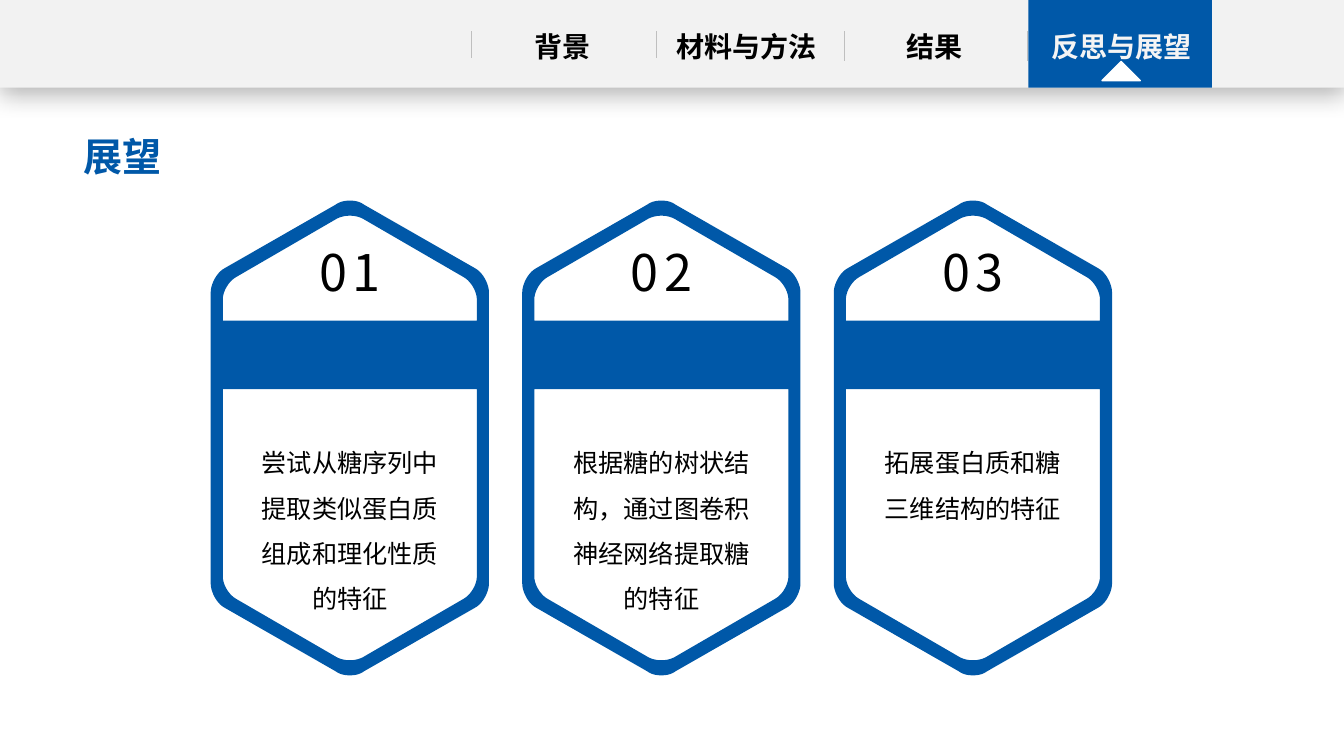
from lxml import etree
from pptx import Presentation
from pptx.dml.color import RGBColor
from pptx.enum import shapes, text
from pptx.oxml import ns
from pptx.util import Inches, Pt

COLORS = {"blue": "0058A8", "bar": "F2F2F2", "rule": "BFBFBF",
          "black": "000000", "white": "FFFFFF", "active": "F4F4F4"}
SANS, DIGITS, SERIF = "Noto Sans CJK SC", "Noto Sans CJK JP", "Times New Roman"

# label, text left, bottom of the separator before it
TABS = [("背景", 4.84, 0.58), ("材料与方法", 6.67, 0.58),
        ("结果", 8.53, 0.61), ("反思与展望", 10.39, 0.61)]
CARDS = [("01", "尝试从糖序列中提取类似蛋白质组成和理化性质的特征"),
         ("02", "根据糖的树状结构，通过图卷积神经网络提取糖的特征"),
         ("03", "拓展蛋白质和糖三维结构的特征")]
CARD_WIDTH, CARD_HEIGHT, CARD_PITCH = 2.76, 4.71, 3.09

# Right half of each roof: peak curve, then shoulder curve, from the card's centre line
OUTER_ROOF = [[(0, 0), (0.05, 0), (0.1, 0.01), (0.14, 0.04)],
              [(1.24, 0.67), (1.32, 0.71), (1.38, 0.83), (1.38, 0.91)]]
INNER_ROOF = [[(0, 0.15), (0.05, 0.15), (0.09, 0.16), (0.13, 0.18)],
              [(1.13, 0.76), (1.2, 0.8), (1.26, 0.9), (1.26, 0.98)]]
INNER_HALF, BAND_TOP, BAND_BOTTOM = 1.26, 1.19, 1.87


def color(name):
    return RGBColor.from_string(COLORS[name])


def add_text(page, box, words, size, font, tint="black", latin=None, bold=False,
             align=text.PP_ALIGN.CENTER, insets=(0, 0), wrap=True,
             line_spacing=None, tracking=None):
    label = page.shapes.add_textbox(*map(Inches, box))
    frame = label.text_frame
    frame.word_wrap = wrap
    frame.auto_size = text.MSO_AUTO_SIZE.SHAPE_TO_FIT_TEXT
    frame.margin_left = frame.margin_right = Inches(insets[0])
    frame.margin_top = frame.margin_bottom = Inches(insets[1])
    para = frame.paragraphs[0]
    para.alignment = align
    if line_spacing:
        para.line_spacing = line_spacing
    span = para.add_run()
    span.text = words
    span.font.size = Pt(size)
    span.font.bold = bold
    span.font.color.rgb = color(tint)
    span.font.name = latin or font
    properties = span._r.get_or_add_rPr()
    etree.SubElement(properties, ns.qn("a:ea"), typeface=font)
    if tracking:
        properties.set("spc", str(tracking * 100))


def paint(shape, tint):
    shape.shadow.inherit = False
    shape.fill.solid()
    shape.fill.fore_color.rgb = color(tint)
    shape.line.fill.background()
    return shape


def add_block(page, kind, box, tint):
    return paint(page.shapes.add_shape(kind, *map(Inches, box)), tint)


def add_soft_shadow(shape):
    effects = shape._element.spPr.find(ns.qn("a:effectLst"))
    shadow = etree.SubElement(effects, ns.qn("a:outerShdw"), blurRad=str(Pt(18)),
                              dist=str(Pt(4)), dir="5400000", algn="t", rotWithShape="0")
    tint = etree.SubElement(shadow, ns.qn("a:srgbClr"), val=COLORS["black"])
    etree.SubElement(tint, ns.qn("a:alpha"), val="29000")


def add_separator(page, x, top, bottom):
    rule = page.shapes.add_connector(shapes.MSO_CONNECTOR.STRAIGHT,
                                     *map(Inches, (x, top, x, bottom)))
    rule.line.color.rgb = color("rule")
    rule.line.width = Pt(0.5)
    etree.SubElement(rule._element.spPr, ns.qn("a:effectLst"))


def add_navigation(page, box):
    left, top, width, height = box
    rectangle = shapes.MSO_SHAPE.RECTANGLE
    add_soft_shadow(add_block(page, rectangle, box, "bar"))
    add_block(page, rectangle, (left + 10.2, top, 1.82, height), "blue")
    pointer = add_block(page, shapes.MSO_SHAPE.ISOSCELES_TRIANGLE,
                        (left + 10.93, top + 0.61, 0.38, 0.19), "white")
    pointer.line.color.rgb = color("white")
    pointer.line.width = Pt(1)
    for index, (words, offset, rule_bottom) in enumerate(TABS):
        is_active = index == len(TABS) - 1
        add_separator(page, left + offset - (0.2 if is_active else 0.16),
                      top + 0.31, top + rule_bottom)
        add_text(page, (left + offset, top + 0.24, 1.47, 0.44), words, 20, SANS,
                 "active" if is_active else "black", bold=True, insets=(0, 0.05))


def curve_points(controls, steps=10):
    """Points along a cubic Bezier curve."""
    for step in range(steps + 1):
        t = step / steps
        weights = ((1 - t) ** 3, 3 * t * (1 - t) ** 2, 3 * t ** 2 * (1 - t), t ** 3)
        yield tuple(sum(w * point[axis] for w, point in zip(weights, controls))
                    for axis in (0, 1))


def roof_points(curves):
    """The whole roof from left to right, mirrored about x = 0."""
    right = [point for controls in curves for point in curve_points(controls)]
    return [(-x, y) for x, y in reversed(right)] + right[1:]


def floor_points(curves):
    """The roof turned upside down, from right to left."""
    return [(x, CARD_HEIGHT - y) for x, y in reversed(roof_points(curves))]


def add_card_frame(page, left, top):
    upper = roof_points(INNER_ROOF) + [(INNER_HALF, BAND_TOP), (-INNER_HALF, BAND_TOP)]
    lower = [(-INNER_HALF, BAND_BOTTOM), (INNER_HALF, BAND_BOTTOM)] + floor_points(INNER_ROOF)
    contours = [roof_points(OUTER_ROOF) + floor_points(OUTER_ROOF), upper[::-1], lower[::-1]]
    builder = None
    for contour in contours:
        points = [(Inches(left + CARD_WIDTH / 2 + x), Inches(top + y)) for x, y in contour]
        if builder is None:
            builder = page.shapes.build_freeform(*points[0])
        else:
            builder.move_to(*points[0])
        builder.add_line_segments(points[1:], close=True)
    paint(builder.convert_to_shape(), "blue")


def add_card(page, left, top, number, words):
    add_card_frame(page, left, top)
    add_text(page, (left + 0.46, top + 2.3, 1.84, 1.75), words, 18, SANS, line_spacing=1.5)
    add_text(page, (left + 1.07, top + 0.4, 0.62, 0.61), number, 36, DIGITS,
             wrap=False, tracking=4)


def main():
    deck = Presentation()
    deck.slide_width, deck.slide_height = Inches(13.33), Inches(7.5)
    page = deck.slides.add_slide(deck.slide_layouts[6])
    add_navigation(page, (0, 0, 13.33, 0.87))
    add_text(page, (0.73, 1.27, 6.91, 0.57), "展望", 27.9, SANS, "blue", latin=SERIF,
             bold=True, align=text.PP_ALIGN.LEFT, insets=(0.1, 0.05))
    for index, (number, words) in enumerate(CARDS):
        add_card(page, 2.09 + index * CARD_PITCH, 1.99, number, words)
    deck.save("out.pptx")


if __name__ == "__main__":
    main()
